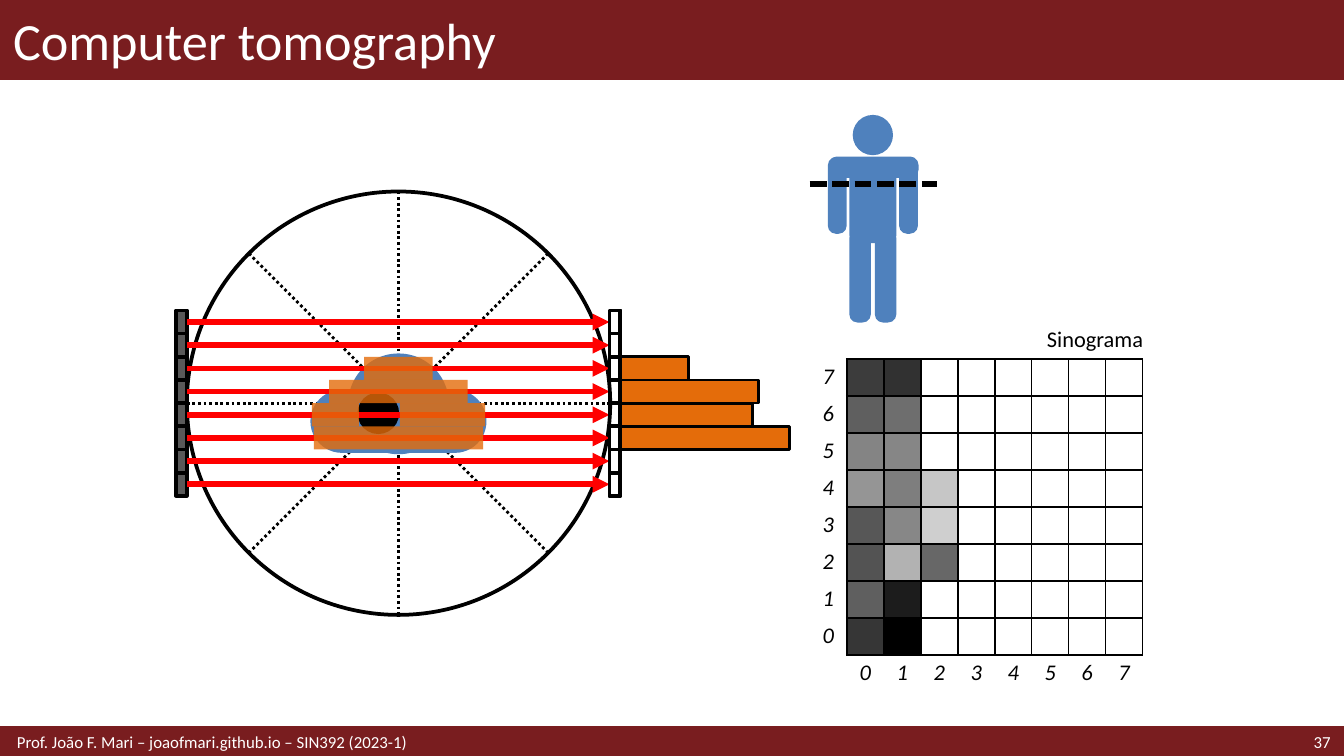
"""Build the computer tomography slide on a grid of 1000 columns by 562.5 rows."""
import dataclasses
import math

import lxml.etree
import pptx
import pptx.dml.color
import pptx.enum.dml
import pptx.enum.shapes
import pptx.enum.text
import pptx.oxml.ns
import pptx.util

COLS, ROWS = 1000, 562.5
CELL = pptx.util.Inches(10) / COLS
SHAPE = pptx.enum.shapes.MSO_SHAPE
DASH = pptx.enum.dml.MSO_LINE
ALIGN = pptx.enum.text.PP_ALIGN

CENTER_X, CENTER_Y, RADIUS = 296.5, 300, 157.5
SENSORS, SENSOR_W, ARRAY_H = 8, 8, 138
PITCH = ARRAY_H / SENSORS
ARRAY_TOP = 231
SOURCE_X, DETECTOR_X = 131, 453.5
ABSORBED = {2: [(271, 51)], 3: [(245, 103)], 4: [(232, 35), (297.5, 63.5)], 5: [(233.5, 126)]}
SINOGRAM = [
    ["3C3C3C", "313131"],
    ["5F5F5F", "6E6E6E"],
    ["848484", "868686"],
    ["959595", "7E7E7E", "C6C6C6"],
    ["575757", "878787", "CFCFCF"],
    ["535353", "B2B2B2", "676767"],
    ["5F5F5F", "1C1C1C"],
    ["363636", "000000"],
]


@dataclasses.dataclass(frozen=True)
class Theme:
    """Colours, font and type sizes."""
    bar: str = "791D1F"
    paper: str = "FFFFFF"
    ink: str = "000000"
    body: str = "4F81BD"
    source: str = "595959"
    ray: str = "FF0000"
    profile: str = "E46C0A"
    font: str = "Calibri"
    title: int = 28
    label: int = 12
    footer: int = 9


THEME = Theme()


def grid(n):
    """Turn grid cells into a length."""
    return pptx.util.Emu(round(n * CELL))


def rgb(color):
    """Turn a hex string into a colour."""
    return pptx.dml.color.RGBColor.from_string(color)


def child(parent, tag, **attrs):
    """Append a DrawingML element."""
    return lxml.etree.SubElement(parent, pptx.oxml.ns.qn(tag), attrs)


def add_group(s):
    """Start a group and return its shapes."""
    return s.shapes.add_group_shape().shapes


def add_block(shapes, kind, box, fill=None, line=None, width=2, adj=None, alpha=None):
    """Draw a preset shape at left, top, width, height."""
    sp = shapes.add_shape(kind, *map(grid, box))
    sp.shadow.inherit = False
    if adj is not None:
        sp.adjustments[0] = adj
    if fill:
        sp.fill.solid()
        sp.fill.fore_color.rgb = rgb(fill)
    else:
        sp.fill.background()
    if alpha:
        clr = sp.element.spPr.find(".//" + pptx.oxml.ns.qn("a:srgbClr"))
        child(clr, "a:alpha", val=str(alpha * 1000))
    if line:
        sp.line.color.rgb = rgb(line)
        sp.line.width = pptx.util.Pt(width)
    else:
        sp.line.fill.background()
    return sp


def add_line(shapes, ends, color, width, dash=None, arrow=False):
    """Draw a straight connector between two grid points."""
    cx = shapes.add_connector(pptx.enum.shapes.MSO_CONNECTOR.STRAIGHT, *map(grid, ends))
    cx.line.color.rgb = rgb(color)
    cx.line.width = pptx.util.Pt(width)
    if dash:
        cx.line.dash_style = dash
    if arrow:
        child(cx.element.spPr.get_or_add_ln(), "a:tailEnd", type="triangle")
    child(cx.element.spPr, "a:effectLst")
    return cx


def add_run(p, text, size, color, italic=False):
    """Add one styled run to a paragraph."""
    r = p.add_run()
    r.text = text
    r.font.name, r.font.size = THEME.font, pptx.util.Pt(size)
    r.font.italic, r.font.color.rgb = italic, rgb(color)


def add_text(s, box, text, size, color, align=ALIGN.LEFT, left=10, right=10):
    """Add a one-line text box centred on its height."""
    tf = s.shapes.add_textbox(*map(grid, box)).text_frame
    tf.word_wrap = True
    tf.vertical_anchor = pptx.enum.text.MSO_ANCHOR.MIDDLE
    tf.margin_left, tf.margin_right = grid(left), grid(right)
    tf.margin_top = tf.margin_bottom = 0
    p = tf.paragraphs[0]
    p.alignment = align
    add_run(p, text, size, color)


def add_frame(s):
    """Draw the title and footer bars with their texts."""
    add_block(s.shapes, SHAPE.RECTANGLE, (0, 0, COLS, 59), THEME.bar, THEME.bar, 1)
    add_block(s.shapes, SHAPE.RECTANGLE, (0, 541.5, COLS, 21), THEME.bar, THEME.bar)
    add_text(s, (0, 0, COLS, 59), "Computer tomography", THEME.title, THEME.paper)
    add_text(s, (886, 541.5, 114, 21), "37", THEME.footer, THEME.paper, ALIGN.RIGHT)
    add_text(s, (0, 541.5, 689, 21), "Prof. João F. Mari – joaofmari.github.io – SIN392 (2023-1)",
             THEME.footer, THEME.paper, left=12.5)


def add_gantry(s):
    """Draw the ring with its four dotted diameters."""
    shapes = add_group(s)
    add_block(shapes, SHAPE.OVAL, (CENTER_X - RADIUS, CENTER_Y - RADIUS, 2 * RADIUS, 2 * RADIUS),
              line=THEME.ink)
    for k in range(4):
        dx, dy = RADIUS * math.cos(k * math.pi / 4), RADIUS * math.sin(k * math.pi / 4)
        add_line(shapes, (CENTER_X - dx, CENTER_Y - dy, CENTER_X + dx, CENTER_Y + dy),
                 THEME.ink, 1.5, DASH.ROUND_DOT)


def add_section(s):
    """Draw the cross-section of the body."""
    shapes = add_group(s)
    for box in ((259, 263, 75, 75), (315, 290, 47, 47), (231, 290, 47, 47)):
        add_block(shapes, SHAPE.OVAL, box, THEME.body)
    add_block(shapes, SHAPE.RECTANGLE, (254, 290, 85, 47), THEME.body)
    add_block(shapes, SHAPE.OVAL, (266, 292, 31, 31), THEME.ink)


def add_person(s):
    """Draw the standing figure and its cutting line."""
    shapes = add_group(s)
    limbs = [((616, 117, 14, 57), 0.43), ((616.5, 116.5, 67, 16), 0.39),
             ((669, 117, 14, 57), 0.43), ((632, 117, 35, 64), 0.17),
             ((632, 171, 16, 69), 0.38), ((651, 171, 16, 69), 0.38)]
    for box, adj in limbs:
        add_block(shapes, SHAPE.ROUNDED_RECTANGLE, box, THEME.body, adj=adj)
    add_block(shapes, SHAPE.OVAL, (634.5, 85.5, 30, 30), THEME.body)
    add_line(shapes, (602.5, 137, 697, 137), THEME.ink, 3, DASH.SQUARE_DOT)


def add_sensors(s, x, fill=None):
    """Draw a column of sensor cells and return them."""
    shapes = add_group(s)
    return [add_block(shapes, SHAPE.RECTANGLE, (x, ARRAY_TOP + i * PITCH, SENSOR_W, PITCH),
                      fill, THEME.ink) for i in range(SENSORS)]


def add_rays(s, sources, detectors):
    """Join each source cell to its detector cell."""
    shapes = add_group(s)
    for i, (source, detector) in enumerate(zip(sources, detectors)):
        y = ARRAY_TOP + (i + 0.5) * PITCH
        cx = add_line(shapes, (SOURCE_X + SENSOR_W, y, DETECTOR_X, y), THEME.ray, 3, arrow=True)
        cx.begin_connect(source, 3)
        cx.end_connect(detector, 1)


def add_profile(s):
    """Draw the absorbing bands and the bar each one sums to."""
    bands, bars = add_group(s), add_group(s)
    for row, spans in ABSORBED.items():
        y = ARRAY_TOP + row * PITCH
        for x, w in spans:
            add_block(bands, SHAPE.RECTANGLE, (x, y, w, PITCH), THEME.profile, alpha=80)
        add_block(bars, SHAPE.RECTANGLE, (DETECTOR_X + SENSOR_W, y, sum(w for _, w in spans), PITCH),
                  THEME.profile, THEME.ink, 1.5)


def set_cell(cell, text="", fill=None, sides=""):
    """Set the text, fill and black borders of a table cell."""
    cell.margin_left = cell.margin_right = cell.margin_top = cell.margin_bottom = 0
    cell.vertical_anchor = pptx.enum.text.MSO_ANCHOR.MIDDLE
    p = cell.text_frame.paragraphs[0]
    p.alignment = ALIGN.CENTER
    p.font.size = pptx.util.Pt(THEME.label)
    if text:
        add_run(p, text, THEME.label, THEME.ink, italic=True)
    tc_pr = cell._tc.get_or_add_tcPr()
    for side in sides:
        ln = child(tc_pr, "a:ln" + side, w=str(pptx.util.Pt(1)))
        child(child(ln, "a:solidFill"), "a:srgbClr", val=THEME.ink)
    if fill:
        cell.fill.solid()
        cell.fill.fore_color.rgb = rgb(fill)
    else:
        cell.fill.background()


def add_sinogram(s):
    """Draw the sinogram with its row and column numbers."""
    add_text(s, (645.5, 241.5, 205, 21), "Sinograma", THEME.label, THEME.ink, ALIGN.RIGHT, right=0)
    n = len(SINOGRAM)
    table = s.shapes.add_table(n + 1, n + 1, *map(grid, (602.5, 267, 248, 248))).table
    table.first_row = table.horz_banding = False
    style = table._tbl.tblPr.find(pptx.oxml.ns.qn("a:tableStyleId"))
    style.text = "{2D5ABB26-0587-4C30-8999-92F81FD0307C}"
    set_cell(table.cell(n, 0))
    for i, shades in enumerate(SINOGRAM):
        set_cell(table.cell(i, 0), str(n - 1 - i), sides="R")
        set_cell(table.cell(n, i + 1), str(i), sides="T")
        for j in range(n):
            fill = shades[j] if j < len(shades) else None
            set_cell(table.cell(i, j + 1), fill=fill, sides="LRTB")


def main():
    """Build and save the slide."""
    prs = pptx.Presentation()
    prs.slide_width, prs.slide_height = grid(COLS), grid(ROWS)
    s = prs.slides.add_slide(prs.slide_layouts[6])
    add_frame(s)
    add_gantry(s)
    add_section(s)
    add_person(s)
    sources = add_sensors(s, SOURCE_X, THEME.source)
    detectors = add_sensors(s, DETECTOR_X)
    add_rays(s, sources, detectors)
    add_block(s.shapes, SHAPE.RECTANGLE, (DETECTOR_X, ARRAY_TOP, SENSOR_W, ARRAY_H), line=THEME.ink)
    add_profile(s)
    add_sinogram(s)
    prs.save("out.pptx")


if __name__ == "__main__":
    main()
